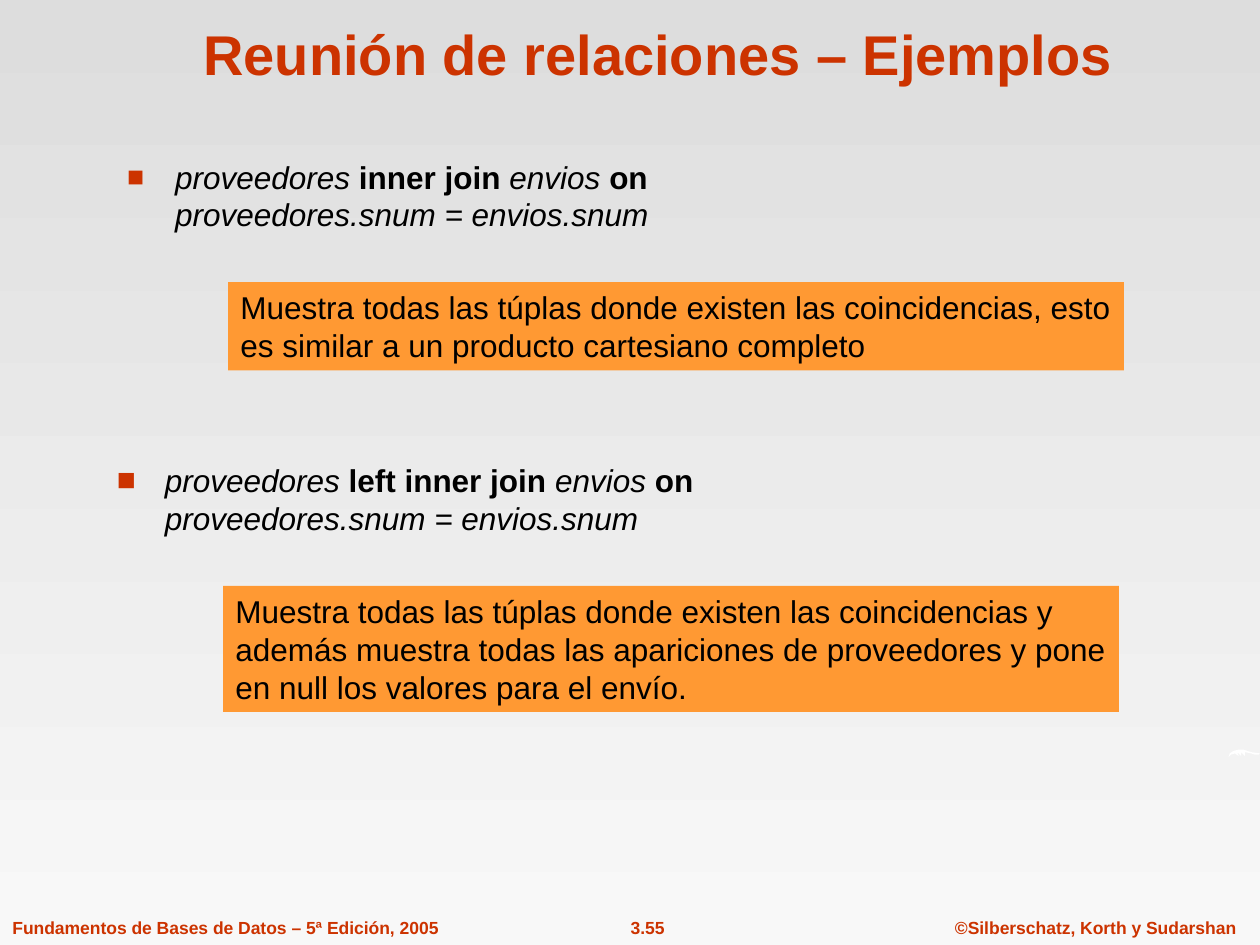
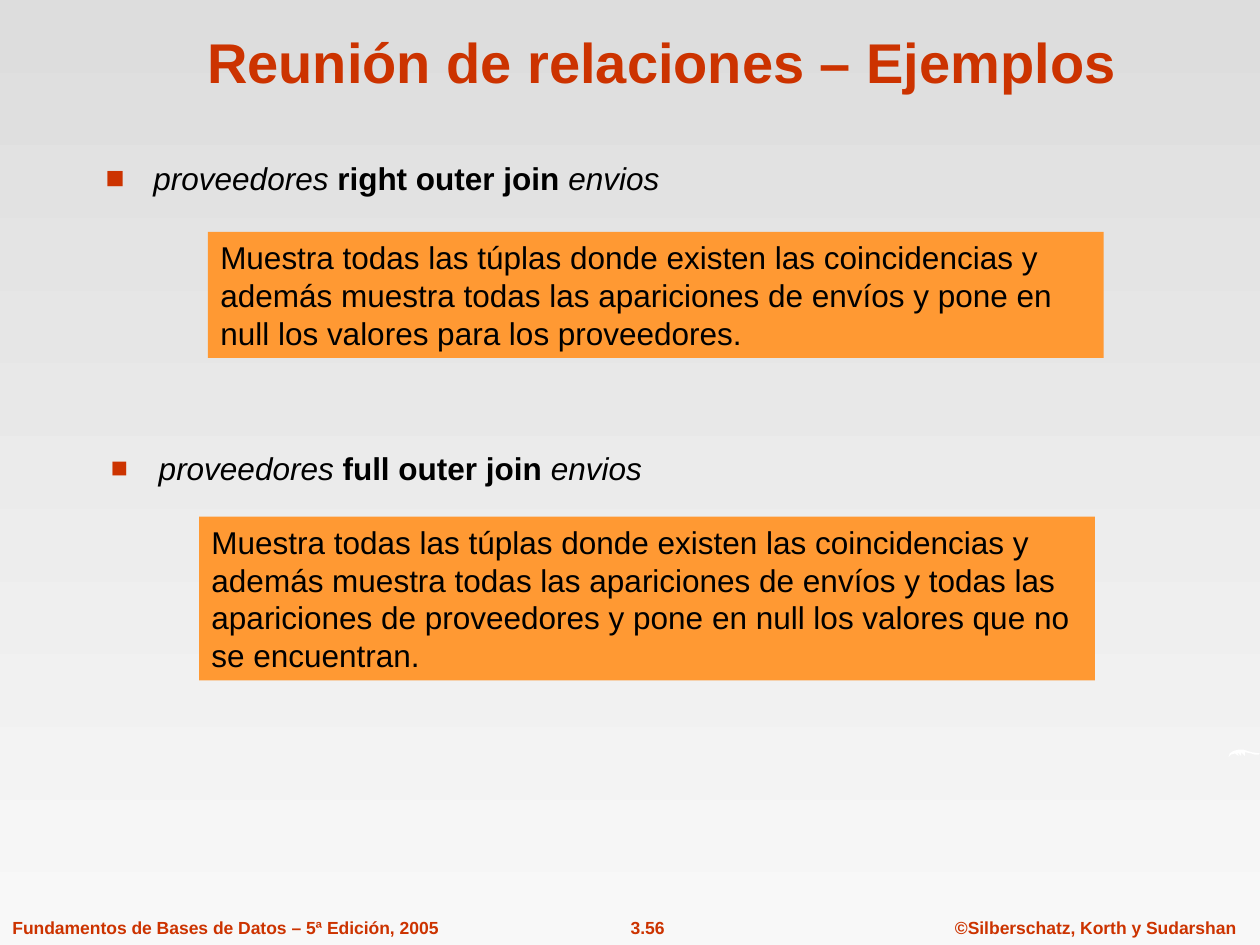
from lxml import etree
from pptx import Presentation, util as u
from pptx.dml.color import RGBColor
from pptx.enum import shapes, text
from pptx.oxml.ns import qn

HEX = {"red": "CC3300", "box": "FF9933", "ink": "000000",
       "swoosh": "FFFFFF", "top": "DDDDDD", "base": "F8F8F8"}
FONT = {"name": "Arial", "bold": False, "italic": False}
HEAD = {**FONT, "size": u.Pt(32), "bold": True}
FOOT = {**FONT, "size": u.Pt(10), "bold": True}
BODY = {**FONT, "size": u.Pt(18)}
LEFT, MID = text.PP_ALIGN.LEFT, text.PP_ALIGN.CENTER
FIT, FIXED = text.MSO_AUTO_SIZE.SHAPE_TO_FIT_TEXT, text.MSO_AUTO_SIZE.NONE
COLS = 100
TITLE = "Reunión de relaciones – Ejemplos"
# Outline of the edge mark, in tenths of a grid cell
MARK = [(975, 601), (976, 598), (979, 596), (983, 595), (987, 595),
        (993, 597), (1000, 598), (999, 599), (996, 599), (993, 598),
        (988, 597), (988, 600), (985, 597), (985, 600), (982, 597),
        (983, 600), (980, 598), (977, 599)]


def color(key):
    return RGBColor.from_string(HEX[key])


class Deck:
    """Style, grid of square cells and current slide."""

    def __init__(self):
        self.prs = Presentation()
        self.prs.slide_width, self.prs.slide_height = u.Inches(10), u.Inches(7.5)
        self.cell = self.prs.slide_width // COLS
        fill = self.prs.slide_master.background.fill
        fill.gradient()
        fill.gradient_angle = 270
        for stop, key in zip(fill.gradient_stops, ("top", "base")):
            stop.color.rgb = color(key)

    def grid(self, at):
        return [round(n * self.cell) for n in at]

    def place(self, item, at):
        item.left, item.top, item.width, item.height = self.grid(at)

    def frame(self, item, wrap=True, size=FIXED, anchor=text.MSO_ANCHOR.TOP):
        look = {"word_wrap": wrap, "auto_size": size, "vertical_anchor": anchor}
        for name, value in look.items():
            setattr(item.text_frame, name, value)
        return item.text_frame.paragraphs[0]

    def label(self, par, words, form, key="ink", align=LEFT):
        par.alignment, par.space_before = align, u.Pt(0)
        run = par.add_run()
        run.text = words
        for name, value in form.items():
            setattr(run.font, name, value)
        run.font.color.rgb = color(key)

    def slide(self, at, page):
        self.page = self.prs.slides.add_slide(self.prs.slide_layouts[1])
        self.title(at)
        self.mark()
        self.foot((0, 72.3, 35.8, 2.7),
                  "Fundamentos de Bases de Datos – 5ª Edición, 2005", LEFT)
        self.foot((48.6, 72.3, 5.6, 2.7), page)
        self.foot((74.8, 72.3, 24.3, 2.7), "©Silberschatz, Korth y Sudarshan")

    def title(self, at):
        item = self.page.shapes.title
        self.place(item, at)
        par = self.frame(item, anchor=text.MSO_ANCHOR.BOTTOM)
        self.label(par, TITLE, HEAD, "red", MID)

    def foot(self, at, words, align=MID):
        item = self.page.shapes.add_textbox(*self.grid(at))
        self.label(self.frame(item, False, FIT), words, FOOT, "red", align)

    def mark(self):
        form = self.page.shapes.build_freeform(*MARK[0], scale=self.cell / 10)
        form.add_line_segments(MARK[1:], close=True)
        self.paint(form.convert_to_shape(), "swoosh")

    def paint(self, item, key):
        item.shadow.inherit = False
        item.fill.solid()
        item.fill.fore_color.rgb = color(key)
        item.line.fill.background()

    def bullet(self, par, share):
        props = par._p.get_or_add_pPr()
        props.set("marL", str(u.Inches(0.38)))
        props.set("indent", str(-u.Inches(0.38)))
        tint = etree.SubElement(props, qn("a:buClr"))
        etree.SubElement(tint, qn("a:srgbClr"), val=HEX["red"])
        etree.SubElement(props, qn("a:buSzPct"), val=str(share * 1000))
        etree.SubElement(props, qn("a:buFont"), typeface="Arial")
        etree.SubElement(props, qn("a:buChar"), char="■")

    def join(self, at, parts, main=False):
        """One bullet whose parts switch between italic and bold."""
        if main:
            item = self.page.placeholders[1]
            self.place(item, at)
        else:
            item = self.page.shapes.add_textbox(*self.grid(at))
        par = self.frame(item)
        self.bullet(par, 90 if main else 100)
        for num, part in enumerate(parts):
            if part.startswith("\n"):
                par.add_line_break()
            key = "bold" if num % 2 else "italic"
            self.label(par, part.strip("\n"), {**BODY, key: True})

    def note(self, at, words):
        item = self.page.shapes.add_shape(
            shapes.MSO_SHAPE.RECTANGLE, *self.grid(at))
        self.paint(item, "box")
        self.label(self.frame(item, size=FIT), words, BODY)


def main():
    deck = Deck()
    same = "Muestra todas las túplas donde existen las coincidencias"
    more = same + " y además muestra todas las apariciones de "
    match = ["envios ", "on", "\nproveedores.snum = envios.snum"]

    # Inner and left joins
    deck.slide((8.1, 0.7, 88.3, 6.7), "3.55")
    deck.join((9.1, 12, 86, 7.5),
              ["proveedores ", "inner join ", *match], main=True)
    deck.join((8.3, 36.1, 74.4, 7.8),
              ["proveedores ", "left inner join ", *match])
    deck.note((18.1, 22.4, 71.1, 7),
              same + ", esto es similar a un producto cartesiano completo")
    deck.note((17.7, 46.5, 71.1, 10),
              more + "proveedores y pone en null los valores para el envío.")

    # Right and full joins
    deck.slide((8.4, 1.3, 88.3, 6.7), "3.56")
    deck.join((7.4, 12.1, 74.4, 5.3),
              ["proveedores ", "right outer join ", "envios"])
    deck.note((16.5, 18.4, 71.1, 10),
              more + "envíos y pone en null los valores para los proveedores.")
    deck.join((7.8, 35.1, 89.4, 4.5),
              ["proveedores ", "full outer join ", "envios"], main=True)
    deck.note((15.8, 41, 71.1, 13),
              more + "envíos y todas las apariciones de proveedores"
              " y pone en null los valores que no se encuentran.")

    deck.prs.save("out.pptx")


if __name__ == "__main__":
    main()
